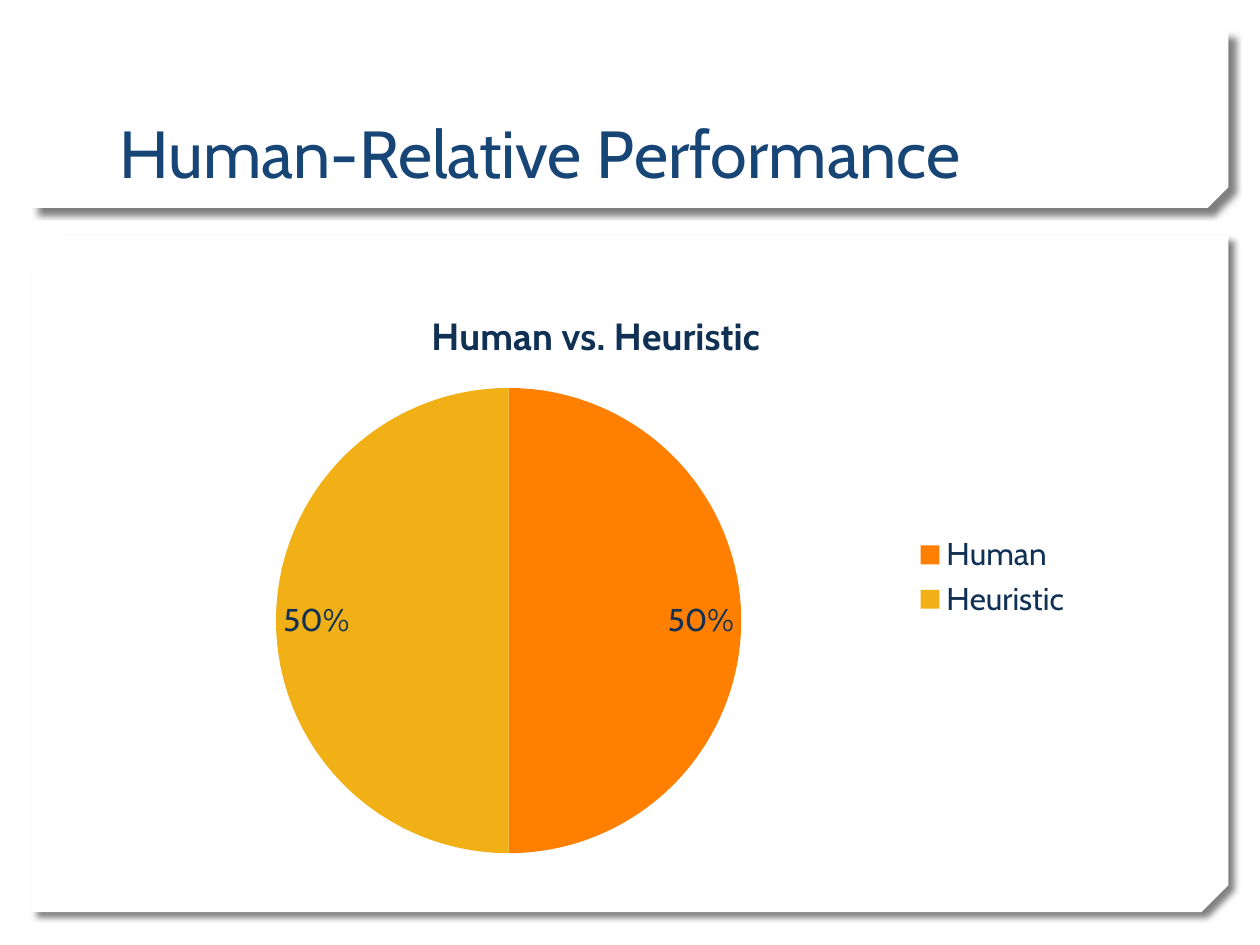
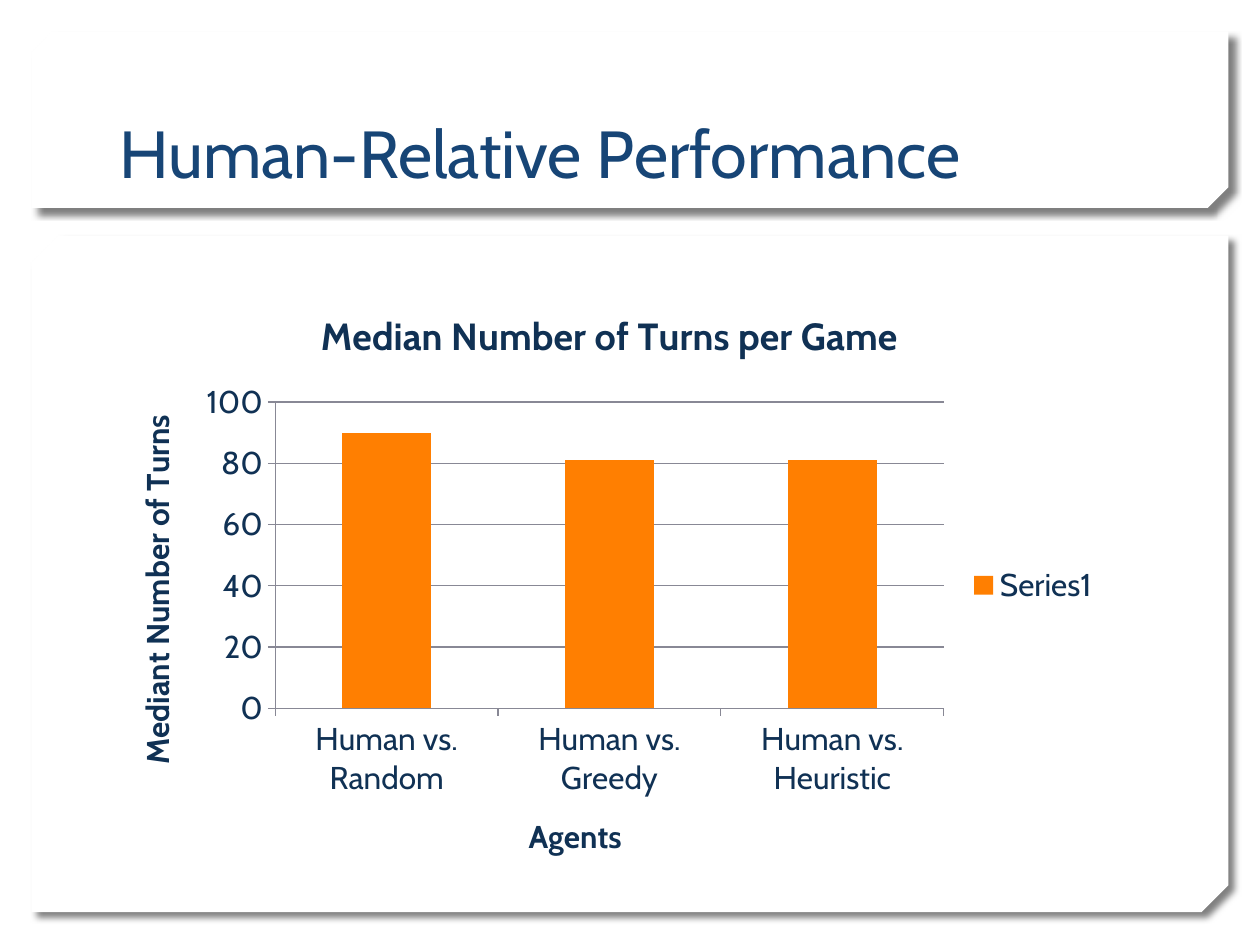
from lxml import etree
from pptx import Presentation
from pptx import util as u
from pptx.chart.data import CategoryChartData
from pptx.dml.color import RGBColor
from pptx.enum import chart as charts, shapes, text
from pptx.oxml.ns import qn

FONT = "Cabin"
WHITE, BLACK, NAVY, BLUE = "FFFFFF", "000000", "103154", "174576"
ORANGE, GOLD, GRAY = "FF7F01", "F1B015", "888895"

TITLE_BOX = (0.85, 0.32, 8.29, 1.25)
TITLE_FORMAT = {"size": u.Pt(38), "bold": False, "color": BLUE}
CHART_FORMAT = {"size": u.Pt(18), "color": NAVY}
CHART_TITLE_FORMAT = {"size": u.Pt(21.6), "bold": True, "color": NAVY}
AXIS_TITLE_FORMAT = {"size": u.Pt(18), "bold": True, "color": NAVY}

# Box and size of the cut corners of each panel
PANELS = [
    ((0.25, 1.87, 9.5, 5.37), 0.04),
    ((0.25, 0.25, 9.5, 1.4), 0.117),
]
SHADOW = {"blurRad": u.Pt(4), "dist": u.Pt(5), "dir": 45 * 60000,
          "algn": "tl", "rotWithShape": 0}
SHADOW_ALPHA = 50000

SLIDES = [
    {
        "title": "Human-Relative Performance",
        "kind": charts.XL_CHART_TYPE.PIE,
        "box": (0.85, 2.25, 7.76, 4.66),
        "chart_title": "Human vs. Heuristic",
        "series": "Series 1",
        "values": {"Human": 50, "Heuristic": 50},
        "colors": [ORANGE, GOLD],
    },
    {
        "title": "Human-Relative Performance",
        "kind": charts.XL_CHART_TYPE.COLUMN_CLUSTERED,
        "box": (0.85, 2.25, 7.98, 4.79),
        "chart_title": "Median Number of Turns per Game",
        "series": "Series1",
        "values": {"Human vs. Random": 90, "Human vs. Greedy": 81,
                   "Human vs. Heuristic": 81},
        "colors": [ORANGE],
        "axis_titles": ("Agents", "Mediant Number of Turns"),
    },
]


def inches(box):
    """Turn a box of plain numbers into lengths."""
    return [u.Inches(number) for number in box]


def rgb(color):
    """Turn a hex string into a colour."""
    return RGBColor.from_string(color)


def paint(fill, color):
    """Give a fill one solid colour."""
    fill.solid()
    fill.fore_color.rgb = rgb(color)


def style(font, values):
    """Set the shared typeface and the given format values on a font."""
    font.name = FONT
    for name, value in values.items():
        if name == "color":
            font.color.rgb = rgb(value)
        else:
            setattr(font, name, value)


def write(frame, words, values):
    """Put one formatted run into a text frame."""
    span = frame.paragraphs[0].add_run()
    span.text = words
    style(span.font, values)


def add_shadow(shape):
    """Add a soft shadow to the lower right of a shape."""
    effects = etree.SubElement(shape._element.spPr, qn("a:effectLst"))
    shadow = etree.SubElement(effects, qn("a:outerShdw"))
    for name, value in SHADOW.items():
        shadow.set(name, str(value))
    color = etree.SubElement(shadow, qn("a:srgbClr"), val=BLACK)
    etree.SubElement(color, qn("a:alpha"), val=str(SHADOW_ALPHA))


def add_panels(page, layout):
    """Draw the panels and move them to the back of the shared layout."""
    for index, (box, cut) in enumerate(PANELS):
        panel = page.shapes.add_shape(
            shapes.MSO_SHAPE.SNIP_2_DIAG_RECTANGLE, *inches(box))
        panel.adjustments[0] = 0
        panel.adjustments[1] = cut
        panel._element.spPr.find(qn("a:xfrm")).set("flipV", "1")
        paint(panel.fill, WHITE)
        panel.line.fill.background()
        add_shadow(panel)
        layout.shapes._spTree.insert(2 + index, panel._element)


def add_title(page, words):
    """Place and format the title placeholder."""
    title = page.shapes.title
    title.left, title.top, title.width, title.height = inches(TITLE_BOX)
    frame = title.text_frame
    frame.word_wrap = True
    frame.vertical_anchor = text.MSO_ANCHOR.BOTTOM
    frame.paragraphs[0].alignment = text.PP_ALIGN.LEFT
    write(frame, words, TITLE_FORMAT)


def add_chart(page, content):
    """Add a chart with its title and legend, and return it."""
    data = CategoryChartData()
    data.categories = list(content["values"])
    data.add_series(content["series"], list(content["values"].values()))
    chart = page.shapes.add_chart(
        content["kind"], *inches(content["box"]), data).chart
    style(chart.font, CHART_FORMAT)
    chart.has_title = True
    write(chart.chart_title.text_frame, content["chart_title"],
          CHART_TITLE_FORMAT)
    chart.has_legend = True
    chart.legend.position = charts.XL_LEGEND_POSITION.RIGHT
    chart.legend.include_in_layout = False
    return chart


def format_pie(chart, content):
    """Colour the slices and show their percentages."""
    plot = chart.plots[0]
    plot.vary_by_categories = True
    for index, color in enumerate(content["colors"]):
        paint(plot.series[0].points[index].format.fill, color)
    plot.has_data_labels = True
    labels = plot.data_labels
    labels.show_percentage = True
    labels.show_value = False
    labels.number_format = "0%"
    labels.number_format_is_linked = False
    labels.position = charts.XL_LABEL_POSITION.INSIDE_END
    style(labels.font, CHART_FORMAT)


def format_columns(chart, content):
    """Colour the columns and format both axes."""
    plot = chart.plots[0]
    plot.vary_by_categories = False
    plot.gap_width = 150
    paint(plot.series[0].format.fill, content["colors"][0])
    axes = (chart.category_axis, chart.value_axis)
    for axis, words in zip(axes, content["axis_titles"]):
        write(axis.axis_title.text_frame, words, AXIS_TITLE_FORMAT)
        axis.format.line.color.rgb = rgb(GRAY)
    chart.value_axis.minimum_scale = 0
    chart.value_axis.has_major_gridlines = True
    chart.value_axis.major_gridlines.format.line.color.rgb = rgb(GRAY)


def build():
    """Build and save the deck."""
    deck = Presentation()
    deck.slide_width, deck.slide_height = inches((10, 7.5))
    layout = deck.slide_layouts[5]
    for index, content in enumerate(SLIDES):
        page = deck.slides.add_slide(layout)
        if index == 0:
            add_panels(page, layout)
        add_title(page, content["title"])
        chart = add_chart(page, content)
        if content["kind"] == charts.XL_CHART_TYPE.PIE:
            format_pie(chart, content)
        else:
            format_columns(chart, content)
    deck.save("out.pptx")


build()
